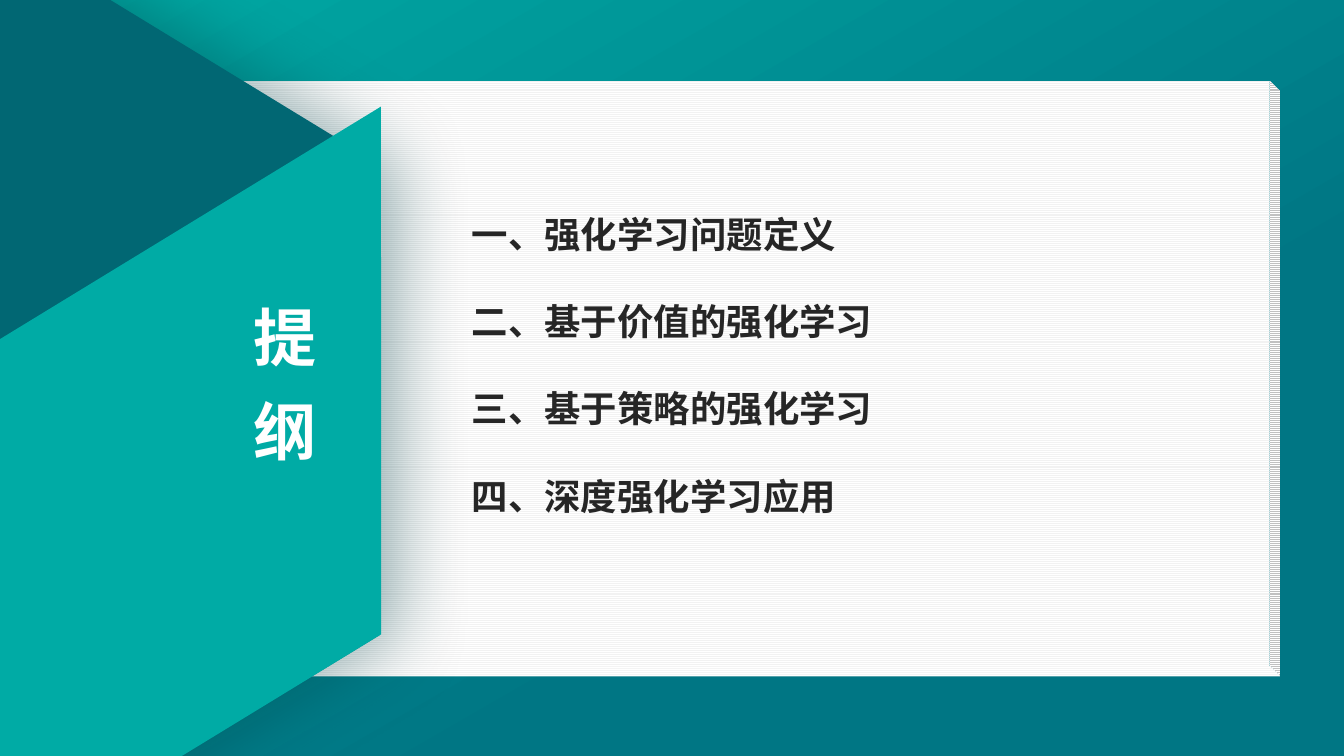
from lxml import etree
from pptx import Presentation
from pptx.dml.color import RGBColor
from pptx.enum.dml import MSO_PATTERN
from pptx.enum.shapes import MSO_SHAPE
from pptx.enum.text import MSO_AUTO_SIZE, PP_ALIGN
from pptx.oxml.ns import qn
from pptx.util import Inches, Pt

CUBE, HEX, SLANT = MSO_SHAPE.CUBE, MSO_SHAPE.HEXAGON, MSO_SHAPE.PARALLELOGRAM
LINES = MSO_PATTERN.LIGHT_HORIZONTAL
GROW = MSO_AUTO_SIZE.SHAPE_TO_FIT_TEXT
LEFT, CENTER = PP_ALIGN.LEFT, PP_ALIGN.CENTER
FACE = "Noto Sans CJK SC"
COLORS = {
    "teal": "00ABA5", "deep": "007684", "dark": "016773", "shade": "013F45",
    "white": "FFFFFF", "rule": "F2F2F2", "ink": "262626", "black": "000000",
}
TOPICS = ["一、强化学习问题定义", "二、基于价值的强化学习",
          "三、基于策略的强化学习", "四、深度强化学习应用"]


def rgb(name):
    return RGBColor.from_string(COLORS[name])


def apply(target, values):
    for key, value in values.items():
        setattr(target, key, value)


def blend(fill, stops, angle):
    fill.gradient()
    fill.gradient_angle = angle
    for stop, (place, name) in zip(fill.gradient_stops, stops):
        stop.position = place
        stop.color.rgb = rgb(name)


def cast(effects, name, alpha, blur, dist, angle):
    outer = etree.SubElement(
        effects, qn("a:outerShdw"), blurRad=str(Pt(blur)), dist=str(Pt(dist)),
        dir=str(angle * 60000), algn="ctr", rotWithShape="0")
    color = etree.SubElement(outer, qn("a:srgbClr"), val=COLORS[name])
    etree.SubElement(color, qn("a:alpha"), val=str(alpha * 1000))


def add_block(slide, kind, box, adjust, turn=0):
    shape = slide.shapes.add_shape(kind, *map(Inches, box))
    shape.adjustments[0] = adjust
    shape.rotation = turn
    shape.shadow.inherit = False
    shape.line.fill.background()
    return shape


def add_lines(slide, box, lines, spacing, align, font, name, shadow=None):
    frame = slide.shapes.add_textbox(*map(Inches, box)).text_frame
    frame.word_wrap = True
    for index, line in enumerate(lines):
        para = frame.paragraphs[0] if index == 0 else frame.add_paragraph()
        apply(para, {"line_spacing": spacing, "alignment": align})
        run = para.add_run()
        run.text = line
        run.font.color.rgb = rgb(name)
        props = run.font._element
        if shadow:
            cast(etree.SubElement(props, qn("a:effectLst")), *shadow)
        apply(run.font, font)
        etree.SubElement(props, qn("a:ea"), typeface=FACE)
    return frame


def add_page(slide, box):
    page = add_block(slide, CUBE, box, 0.018)
    page._element.spPr.find(qn("a:xfrm")).set("flipV", "1")
    page.fill.patterned()
    page.fill.pattern = LINES
    page.fill.fore_color.rgb = rgb("rule")
    page.fill.back_color.rgb = rgb("white")


def add_folds(slide, box):
    left, top, width, height = box
    back = add_block(slide, HEX, box, 0.305, 90)
    blend(back.fill, [(0.77, "dark"), (1, "deep")], 270)
    cast(back._element.spPr.find(qn("a:effectLst")), "shade", 40, 55, 13, 0)
    front = add_block(slide, SLANT, (left + 3.47, top + 3.68, 8.29, 4.47),
                      0.61, 328.6)
    front.fill.solid()
    front.fill.fore_color.rgb = rgb("teal")


def add_title(slide, box):
    font = {"name": FACE, "size": Pt(45), "bold": True}
    frame = add_lines(slide, box, "提纲", Pt(67), CENTER, font, "white",
                      ("black", 43, 3, 3, 45))
    apply(frame, {"margin_left": 0, "margin_right": 0,
                  "margin_top": 0, "margin_bottom": 0})


def add_topics(slide, box):
    font = {"name": FACE, "size": Pt(26), "bold": True}
    frame = add_lines(slide, box, TOPICS, 2.0, LEFT, font, "ink")
    frame.auto_size = GROW


def main():
    deck = Presentation()
    apply(deck, {"slide_width": Inches(13.33), "slide_height": Inches(7.5)})
    slide = deck.slides.add_slide(deck.slide_layouts[6])
    blend(slide.background.fill, [(0, "teal"), (0.67, "deep")], 300)
    add_page(slide, (0, 0.8, 12.7, 5.91))
    add_folds(slide, (-6.21, -0.79, 10.46, 9.51))
    add_title(slide, (2.43, 2.78, 0.8, 1.86))
    add_topics(slide, (4.58, 1.62, 7.15, 3.47))
    deck.save("out.pptx")


if __name__ == "__main__":
    main()
